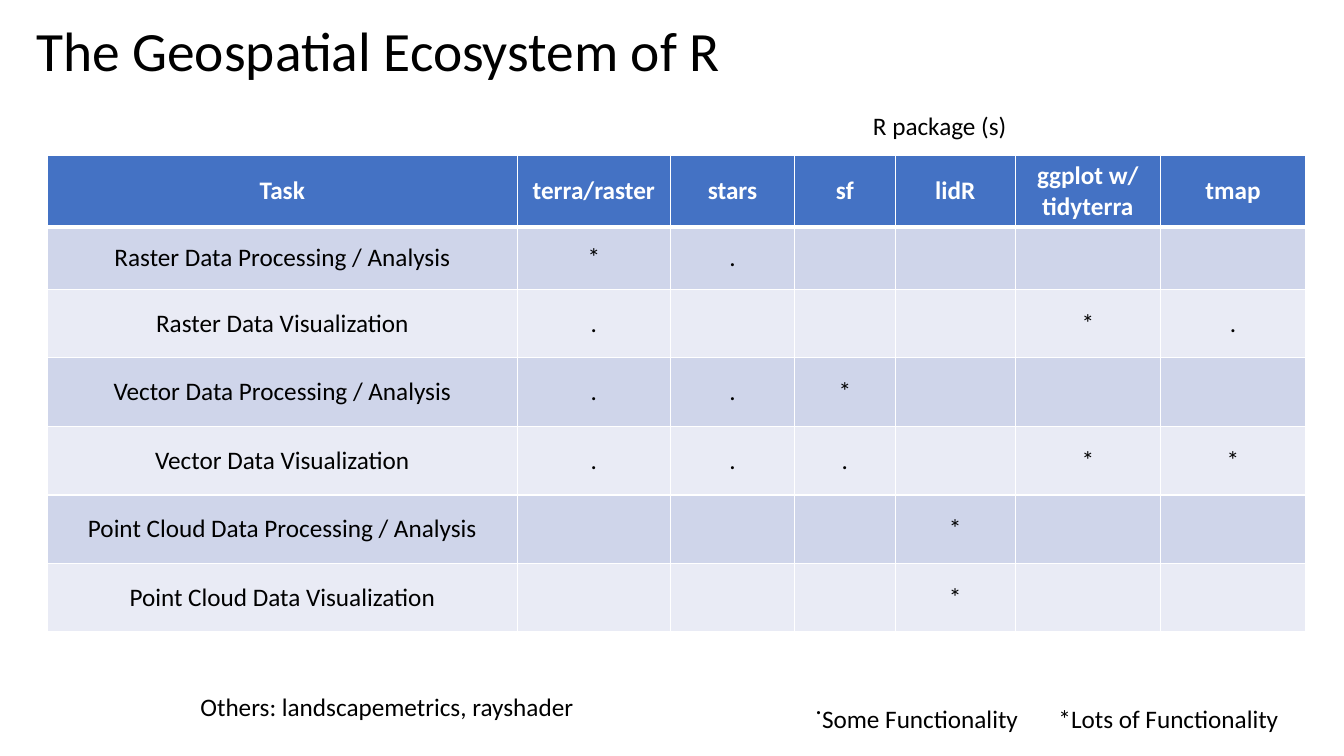
from lxml.etree import SubElement
from pptx import Presentation
from pptx.dml.color import RGBColor
from pptx.enum.text import MSO_ANCHOR as Anchor, MSO_AUTO_SIZE as AutoSize, PP_ALIGN as Align
from pptx.oxml.ns import qn
from pptx.util import Inches, Pt

FONT = "Calibri"
BLACK, WHITE = "000000", "FFFFFF"
HEADER_FILL, BAND_FILLS = "4472C4", ("CFD5EA", "E9EBF5")

COLUMN_WIDTHS = (4.66, 1.52, 1.23, 1, 1.19, 1.44, 1.44)
ROW_HEIGHTS = (0.7, 0.62) + (0.68,) * 5
HEADER = ("Task", "terra/raster", "stars", "sf", "lidR", "ggplot w/ tidyterra", "tmap")
# One mark per package column; a space leaves the cell empty
TASKS = (
    ("Raster Data Processing / Analysis", "*.    "),
    ("Raster Data Visualization", ".   *."),
    ("Vector Data Processing / Analysis", "..*   "),
    ("Vector Data Visualization", "... **"),
    ("Point Cloud Data Processing / Analysis", "   *  "),
    ("Point Cloud Data Visualization", "   *  "),
)


def color(value):
    return RGBColor.from_string(value)


def format_run(run, size=18, value=BLACK, bold=False):
    run.font.name, run.font.size, run.font.bold = FONT, Pt(size), bold
    run.font.color.rgb = color(value)


def add_title(slide, text, box):
    title = slide.shapes.title
    title.left, title.top, title.width, title.height = map(Inches, box)
    frame = title.text_frame
    frame.text = text
    frame.auto_size = AutoSize.NONE
    frame.vertical_anchor = Anchor.MIDDLE
    paragraph = frame.paragraphs[0]
    paragraph.alignment, paragraph.line_spacing = Align.LEFT, 0.9
    format_run(paragraph.runs[0], 39.6)


def add_label(slide, text, box):
    frame = slide.shapes.add_textbox(*map(Inches, box)).text_frame
    frame.word_wrap = False
    frame.auto_size = AutoSize.SHAPE_TO_FIT_TEXT
    frame.text = text
    paragraph = frame.paragraphs[0]
    for run in paragraph.runs:
        format_run(run)
    return paragraph


def add_legend(slide, box, tab_position):
    paragraph = add_label(slide, ".", box)
    # Second entry starts at a tab stop
    tabs = SubElement(paragraph._p.get_or_add_pPr(), qn("a:tabLst"))
    SubElement(tabs, qn("a:tab"), pos=str(Inches(tab_position)), algn="l")
    # Raised dot
    dot = paragraph.runs[0]
    format_run(dot, 32)
    dot._r.get_or_add_rPr().set("baseline", "30000")
    entries = paragraph.add_run()
    entries.text = "Some Functionality\t*Lots of Functionality"
    format_run(entries)


def set_borders(cell, **widths):
    properties = cell._tc.get_or_add_tcPr()
    for side in "LRTB":
        width = Pt(widths.get(side, 1))
        line = SubElement(properties, qn(f"a:ln{side}"), w=str(width))
        fill = SubElement(line, qn("a:solidFill"))
        SubElement(fill, qn("a:srgbClr"), val=WHITE)


def fill_cell(cell, text, row):
    is_header = row == 0
    # Thick rule between header and body
    set_borders(cell, B=3 if is_header else 1, T=3 if row == 1 else 1)
    cell.fill.solid()
    cell.fill.fore_color.rgb = color(HEADER_FILL if is_header else BAND_FILLS[(row - 1) % 2])
    cell.vertical_anchor = Anchor.MIDDLE
    cell.text = text.strip()
    paragraph = cell.text_frame.paragraphs[0]
    paragraph.alignment = Align.CENTER
    for run in paragraph.runs:
        format_run(run, value=WHITE if is_header else BLACK, bold=is_header)


def add_package_table(slide, left, top):
    rows = [HEADER] + [(task, *marks) for task, marks in TASKS]
    size = sum(COLUMN_WIDTHS), sum(ROW_HEIGHTS)
    table = slide.shapes.add_table(
        len(rows), len(HEADER), *map(Inches, (left, top, *size))).table
    for column, width in zip(table.columns, COLUMN_WIDTHS):
        column.width = Inches(width)
    for index, (row, height) in enumerate(zip(table.rows, ROW_HEIGHTS)):
        row.height = Inches(height)
        for cell, text in zip(row.cells, rows[index]):
            fill_cell(cell, text, index)


def main():
    presentation = Presentation()
    presentation.slide_width, presentation.slide_height = Inches(13.33), Inches(7.5)
    slide = presentation.slides.add_slide(presentation.slide_layouts[5])

    # Title and table
    add_title(slide, "The Geospatial Ecosystem of R", (0.26, 0.21, 8.3, 0.65))
    add_package_table(slide, 0.47, 1.54)

    # Labels around the table
    add_legend(slide, (7.99, 6.73, 4.97, 0.46), 2.41)
    add_label(slide, "R package (s)", (8.56, 1.05, 1.54, 0.4))
    add_label(slide, "Others: landscapemetrics, rayshader", (1.89, 6.81, 3.94, 0.4))

    presentation.save("out.pptx")


if __name__ == "__main__":
    main()
